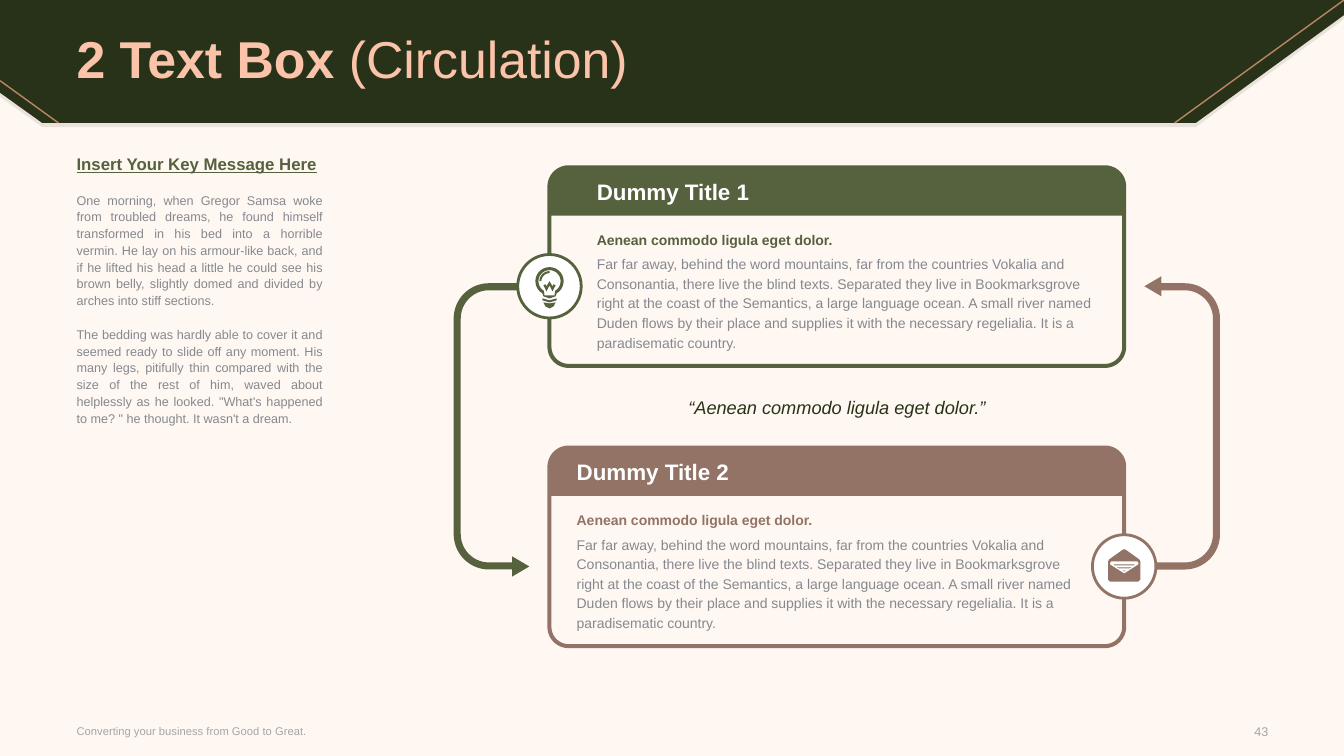
import math
from lxml import etree
from pptx import Presentation
from pptx import util as u
from pptx.dml.color import RGBColor
from pptx.enum import shapes, text
from pptx.oxml import ns

CREAM = RGBColor(0xFF, 0xF7, 0xF2)
DARK = RGBColor(0x28, 0x32, 0x18)
PEACH = RGBColor(0xFB, 0xC4, 0xAA)
BRONZE = RGBColor(0xB9, 0x87, 0x63)
GREEN = RGBColor(0x56, 0x61, 0x3D)
BROWN = RGBColor(0x92, 0x73, 0x65)
GRAY = RGBColor(0x85, 0x89, 0x8F)
PALE = RGBColor(0xA6, 0xA6, 0xA6)
WHITE = RGBColor(0xFF, 0xFF, 0xFF)

TITLE = ("2 Text Box ", "(Circulation)")
KEY_MESSAGE = [
    "Insert Your Key Message Here",
    "One morning, when Gregor Samsa woke from troubled dreams, he found himself transformed in his bed into a horrible vermin. He lay on his armour-like back, and if he lifted his head a little he could see his brown belly, slightly domed and divided by arches into stiff sections.",
    "The bedding was hardly able to cover it and seemed ready to slide off any moment. His many legs, pitifully thin compared with the size of the rest of him, waved about helplessly as he looked. \"What's happened to me? \" he thought. It wasn't a dream.",
]
SUBTITLE = "Aenean commodo ligula eget dolor."
STORY = "Far far away, behind the word mountains, far from the countries Vokalia and Consonantia, there live the blind texts. Separated they live in Bookmarksgrove right at the coast of the Semantics, a large language ocean. A small river named Duden flows by their place and supplies it with the necessary regelialia. It is a paradisematic country."
QUOTE = "“Aenean commodo ligula eget dolor.”"
FOOTER = "Converting your business from Good to Great."
PAGE = "43"


def arc(x, y, radius, start, end):
    steps = 24
    angles = [math.radians(start + (end - start) * i / steps) for i in range(steps + 1)]
    return [(x + radius * math.cos(a), y + radius * math.sin(a)) for a in angles]


BULB = [
    arc(0, -0.05, 0.14, 120, 420) + [(0.06, 0.1), (0, 0.12), (-0.06, 0.1)],
    arc(0, -0.05, 0.11, 120, 420) + [(0.05, 0.09), (-0.05, 0.09)],
    [(-0.07, 0.12), (0, 0.14), (0.07, 0.12), (0.07, 0.14), (0, 0.16), (-0.07, 0.14)],
    [(-0.06, 0.16), (0, 0.17), (0.06, 0.16), (0.04, 0.2), (0, 0.22), (-0.04, 0.2)],
    [(0.04, -0.02), (0.03, 0), (0, -0.05), (-0.03, 0), (-0.04, -0.02),
     (-0.06, -0.01), (-0.03, 0.05), (0, -0.01), (0.03, 0.05), (0.06, -0.01)],
    arc(0, -0.05, 0.1, 180, 270) + arc(0, -0.05, 0.08, 270, 180),
]
ENVELOPE = [
    [(0.15, -0.07), (0.01, -0.17), (-0.01, -0.17), (-0.15, -0.07), (-0.16, -0.05),
     (-0.16, 0.13), (-0.14, 0.15), (0.14, 0.15), (0.16, 0.13), (0.16, -0.05)],
    [(0.14, -0.02), (0, 0.07), (-0.14, -0.02), (-0.14, -0.04),
     (-0.13, -0.05), (0.13, -0.05), (0.14, -0.04)],
    [(-0.1, -0.02), (0.1, -0.02), (0.1, -0.01), (-0.1, -0.01)],
    [(-0.07, 0.01), (0.07, 0.01), (0.05, 0.02), (-0.05, 0.02)],
    [(-0.02, 0.04), (0.02, 0.04), (0, 0.05)],
]
CARDS = [
    ("Dummy Title 1", 1.64, 5.92, 5.45, GREEN, BULB),
    ("Dummy Title 2", 4.42, 5.72, 11.15, BROWN, ENVELOPE),
]
CARD_LEFT, CARD_RIGHT, CARD_HEIGHT = 5.43, 11.17, 2.01
CORNER, BORDER, HEADING_HEIGHT = 0.21, 0.04, 0.5
BADGE_DROP, BADGE_SIZE = 1.2, 0.63
BANNER = [(11.86, 1.22), (0.42, 1.22), (0, 0.92), (0, 0), (13.33, 0), (13.33, 0.15)]
BANNER_LINES = [(13.33, 0, 11.65, 1.22), (0.58, 1.22, 0, 0.8)]
LOOP_CENTER = (8.3, 4.23)
LOOP = ([(5.25, 5.62), (5.08, 5.52), (5.08, 5.58)]
        + arc(4.85, 5.3, 0.28, 90, 180) + arc(4.85, 3.16, 0.28, 180, 270)
        + [(5.13, 2.88), (5.13, 2.81)]
        + arc(4.85, 3.16, 0.35, 270, 180) + arc(4.85, 5.3, 0.35, 180, 90)
        + [(5.08, 5.65), (5.08, 5.72)])

presentation = Presentation()
presentation.slide_width = u.Inches(13.33)
presentation.slide_height = u.Inches(7.5)
slide = presentation.slides.add_slide(presentation.slide_layouts[6])
slide.background.fill.solid()
slide.background.fill.fore_color.rgb = CREAM


def add_outline(contours, color, dx=0, dy=0):
    moved = [[(u.Inches(x + dx), u.Inches(y + dy)) for x, y in c] for c in contours]
    builder = slide.shapes.build_freeform(*moved[0][0])
    for index, points in enumerate(moved):
        if index:
            builder.move_to(*points[0])
        builder.add_line_segments(points[1:], close=True)
    shape = builder.convert_to_shape()
    shape.shadow.inherit = False
    shape.fill.solid()
    shape.fill.fore_color.rgb = color
    shape.line.fill.background()
    return shape


def format_run(run, size, color, bold=False, italic=False):
    run.font.name = "Arial"
    run.font.size = u.Pt(size)
    run.font.color.rgb = color
    run.font.bold = bold
    run.font.italic = italic


def add_text(content, left, top, width, height, size, color, bold=False, italic=False,
             align=text.PP_ALIGN.LEFT, spacing=None, anchor=text.MSO_ANCHOR.TOP):
    box = slide.shapes.add_textbox(*map(u.Inches, (left, top, width, height)))
    frame = box.text_frame
    frame.margin_left = frame.margin_right = frame.margin_top = frame.margin_bottom = 0
    frame.word_wrap = True
    frame.vertical_anchor = anchor
    frame.text = content
    for paragraph in frame.paragraphs:
        paragraph.alignment = align
        if spacing:
            paragraph.line_spacing = spacing
        for run in paragraph.runs:
            format_run(run, size, color, bold, italic)
    return frame


def add_card(top, color):
    left, right, bottom = CARD_LEFT, CARD_RIGHT, top + CARD_HEIGHT
    x1, x2, y1, y2 = left + CORNER, right - CORNER, top + CORNER, bottom - CORNER
    outer = (arc(x1, y1, CORNER, 180, 270) + arc(x2, y1, CORNER, 270, 360)
             + arc(x2, y2, CORNER, 0, 90) + arc(x1, y2, CORNER, 90, 180))
    inner_radius = CORNER - BORDER
    inner = ([(left + BORDER, top + HEADING_HEIGHT), (right - BORDER, top + HEADING_HEIGHT)]
             + arc(x2, y2, inner_radius, 0, 90) + arc(x1, y2, inner_radius, 90, 180))
    add_outline([outer, inner], color)


def add_badge(x, y, color, icon):
    corner = (x - BADGE_SIZE / 2, y - BADGE_SIZE / 2)
    badge = slide.shapes.add_shape(shapes.MSO_SHAPE.OVAL,
                                   *map(u.Inches, (*corner, BADGE_SIZE, BADGE_SIZE)))
    badge.shadow.inherit = False
    badge.fill.solid()
    badge.fill.fore_color.rgb = WHITE
    badge.line.color.rgb = color
    badge.line.width = u.Pt(2)
    add_outline(icon, color, x, y)


banner_shade = add_outline([BANNER], DARK, dy=0.04)
shade_color = banner_shade.fill._xPr.find(".//" + ns.qn("a:srgbClr"))
etree.SubElement(shade_color, ns.qn("a:alpha")).set("val", "10000")
add_outline([BANNER], DARK)
for ends in BANNER_LINES:
    line = slide.shapes.add_connector(shapes.MSO_CONNECTOR.STRAIGHT, *map(u.Inches, ends))
    line.line.color.rgb = BRONZE
    line.line.width = u.Pt(1)
    etree.SubElement(line._element.spPr, ns.qn("a:effectLst"))

title = add_text(TITLE[0], 0.76, 0.03, 11.81, 1.17, 37, PEACH, bold=True,
                 spacing=0.9, anchor=text.MSO_ANCHOR.MIDDLE)
title_ending = title.paragraphs[0].add_run()
title_ending.text = TITLE[1]
format_run(title_ending, 37, PEACH)

message = add_text("\n".join(KEY_MESSAGE), 0.76, 1.56, 2.44, 5.19, 9, GRAY,
                   align=text.PP_ALIGN.JUSTIFY, spacing=u.Pt(12))
heading, *details = message.paragraphs
format_run(heading.runs[0], 12, GREEN, bold=True)
heading.runs[0].font.underline = True
for paragraph in details:
    paragraph.space_before = u.Pt(12)

add_text(FOOTER, 0.76, 7.12, 5.23, 0.26, 8, PALE, anchor=text.MSO_ANCHOR.MIDDLE)
add_text(PAGE, 11.95, 7.13, 0.63, 0.26, 9, PALE, align=text.PP_ALIGN.RIGHT,
         anchor=text.MSO_ANCHOR.MIDDLE)

add_outline([LOOP], GREEN)
add_outline([[(2 * LOOP_CENTER[0] - x, 2 * LOOP_CENTER[1] - y) for x, y in LOOP]], BROWN)
for name, top, text_left, badge_x, color, icon in CARDS:
    add_card(top, color)
    add_badge(badge_x, top + BADGE_DROP, color, icon)
    add_text(name, text_left, top + 0.13, 5.04, 0.27, 16, WHITE, bold=True)
    add_text(SUBTITLE, text_left, top + 0.63, 5.04, 0.2, 10, color, bold=True,
             spacing=u.Pt(14))
    add_text(STORY, text_left, top + 0.87, 5.04, 0.98, 10, GRAY, spacing=u.Pt(14))
add_text(QUOTE, 5.9, 3.95, 4.8, 0.2, 13, DARK, italic=True,
         align=text.PP_ALIGN.CENTER, spacing=u.Pt(14))

presentation.save("out.pptx")
